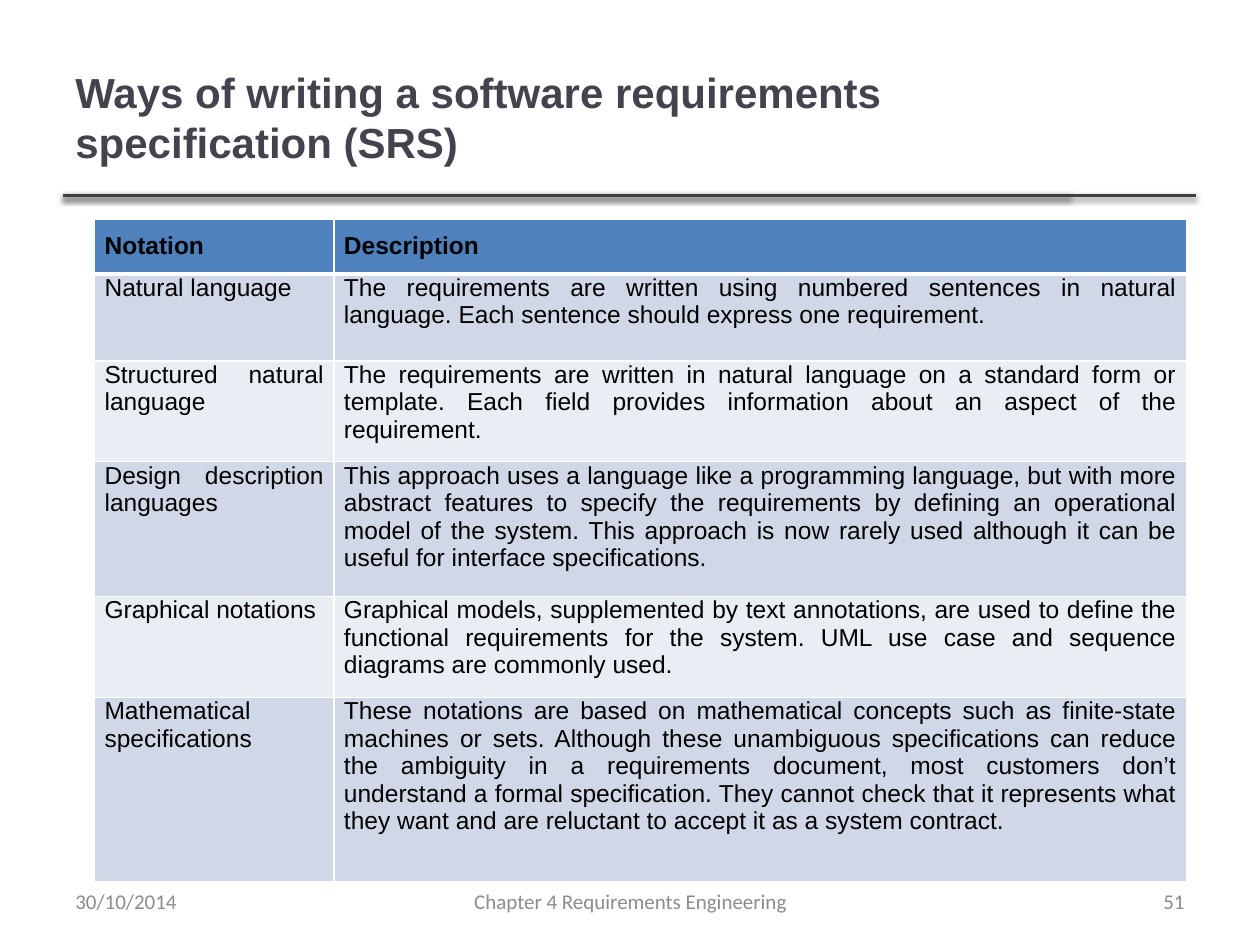
from lxml.etree import SubElement
from pptx import Presentation
from pptx.dml.color import RGBColor
from pptx.enum.shapes import MSO_CONNECTOR
from pptx.enum.text import MSO_ANCHOR, PP_ALIGN
from pptx.oxml.ns import qn
from pptx.util import Inches, Pt

TITLE_COLOR = RGBColor(0x46, 0x42, 0x4D)
RULE_COLOR = RGBColor(0x40, 0x40, 0x40)
FOOTER_COLOR = RGBColor(0x8C, 0x8C, 0x8C)
BLACK = RGBColor(0x00, 0x00, 0x00)
WHITE = RGBColor(0xFF, 0xFF, 0xFF)
HEADER_FILL = RGBColor(0x4F, 0x81, 0xBD)
BAND_FILLS = (RGBColor(0xE9, 0xED, 0xF4), RGBColor(0xD0, 0xD8, 0xE8))

COLUMN_WIDTHS = (1.9, 6.77)
ROW_HEIGHTS = (0.4, 0.69, 0.69, 1.07, 0.69, 1.46)
NOTATIONS = (
    ("Notation", "Description"),
    ("Natural language",
     "The requirements are written using numbered sentences in natural "
     "language. Each sentence should express one requirement."),
    ("Structured natural language ",
     "The requirements are written in natural language on a standard form or "
     "template. Each field provides information about an aspect of the "
     "requirement."),
    ("Design description languages",
     "This approach uses a language like a programming language, but with more "
     "abstract features to specify the requirements by defining an operational "
     "model of the system. This approach is now rarely used although it can be "
     "useful for interface specifications."),
    ("Graphical notations",
     "Graphical models, supplemented by text annotations, are used to define "
     "the functional requirements for the system. UML use case and sequence "
     "diagrams are commonly used."),
    ("Mathematical specifications",
     "These notations are based on mathematical concepts such as finite-state "
     "machines or sets. Although these unambiguous specifications can reduce "
     "the ambiguity in a requirements document, most customers don’t "
     "understand a formal specification. They cannot check that it represents "
     "what they want and are reluctant to accept it as a system contract."),
)


def add_span(para, text, font, size, color, bold=False):
    span = para.add_run()
    span.text = text
    span.font.name = font
    span.font.size = Pt(size)
    span.font.bold = bold
    span.font.color.rgb = color


def add_text(page, place, text, font, size, color, bold=False,
             align=PP_ALIGN.LEFT):
    box = page.shapes.add_textbox(*map(Inches, place))
    frame = box.text_frame
    frame.word_wrap = True
    frame.vertical_anchor = MSO_ANCHOR.MIDDLE
    para = frame.paragraphs[0]
    para.alignment = align
    add_span(para, text, font, size, color, bold)


def add_rule(page, left, right, top):
    rule = page.shapes.add_connector(
        MSO_CONNECTOR.STRAIGHT,
        Inches(left), Inches(top), Inches(right), Inches(top))
    rule.line.color.rgb = RULE_COLOR
    rule.line.width = Pt(2)
    # Soft shadow straight below the line
    effects = SubElement(rule.line._get_or_add_ln().getparent(),
                         qn("a:effectLst"))
    shadow = SubElement(effects, qn("a:outerShdw"), blurRad=str(Pt(3.1)),
                        dist=str(Pt(1.6)), dir="5400000", rotWithShape="0")
    color = SubElement(shadow, qn("a:srgbClr"), val=str(BLACK))
    SubElement(color, qn("a:alpha"), val="38000")


def set_borders(cell, **widths):
    properties = cell._tc.get_or_add_tcPr()
    for side in ("L", "R", "T", "B"):
        line = SubElement(properties, qn(f"a:ln{side}"),
                          w=str(Pt(widths.get(side, 1))))
        fill = SubElement(line, qn("a:solidFill"))
        SubElement(fill, qn("a:srgbClr"), val=str(WHITE))


def fill_cell(cell, text, row, column):
    header = row == 0
    # Borders precede the fill in the cell properties
    set_borders(cell, T=3 if row == 1 else 1, B=3 if header else 1)
    cell.fill.solid()
    cell.fill.fore_color.rgb = HEADER_FILL if header else BAND_FILLS[row % 2]
    cell.margin_left = cell.margin_right = Inches(0.08)
    cell.margin_top = Inches(0.1 if header else 0)
    cell.margin_bottom = Inches(0.1)
    para = cell.text_frame.paragraphs[0]
    first = header and column == 0
    para.alignment = PP_ALIGN.LEFT if first else PP_ALIGN.JUSTIFY
    add_span(para, text, "Arial", 14, BLACK, bold=header)


def add_notation_table(page, left, top):
    table = page.shapes.add_table(
        len(NOTATIONS), len(COLUMN_WIDTHS), Inches(left), Inches(top),
        Inches(sum(COLUMN_WIDTHS)), Inches(sum(ROW_HEIGHTS))).table
    for column, width in zip(table.columns, COLUMN_WIDTHS):
        column.width = Inches(width)
    for row, height in zip(table.rows, ROW_HEIGHTS):
        row.height = Inches(height)
    for row, texts in enumerate(NOTATIONS):
        for column, text in enumerate(texts):
            fill_cell(table.cell(row, column), text, row, column)


def main():
    deck = Presentation()
    deck.slide_width, deck.slide_height = Inches(10), Inches(7.5)
    page = deck.slides.add_slide(deck.slide_layouts[6])

    # Title and the double rule below it
    for right in (8.49, 9.49):
        add_rule(page, 0.5, right, 1.55)
    add_text(page, (0.5, 0.3, 7.98, 1.25),
             "Ways of writing a software requirements specification (SRS)",
             "Arial", 24, TITLE_COLOR, bold=True)

    # Table of notations
    add_notation_table(page, 0.75, 1.74)

    # Footer: date, chapter, page number
    for left, width, text, align in (
            (0.5, 2.33, "30/10/2014", PP_ALIGN.LEFT),
            (3.42, 3.17, "Chapter 4 Requirements Engineering",
             PP_ALIGN.CENTER),
            (7.17, 2.33, "51", PP_ALIGN.RIGHT)):
        add_text(page, (left, 6.95, width, 0.4), text, "Calibri", 12,
                 FOOTER_COLOR, align=align)

    deck.save("out.pptx")


if __name__ == "__main__":
    main()
